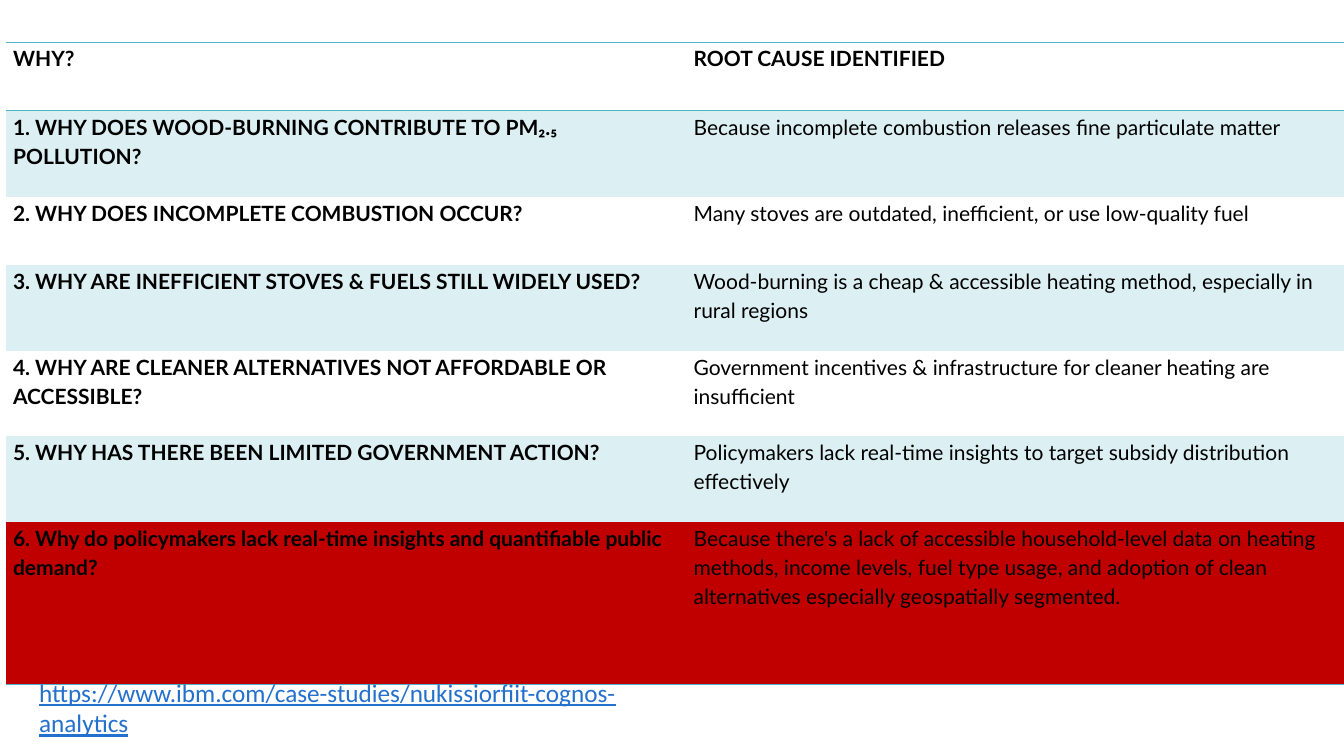
from dataclasses import dataclass

from lxml import etree
from pptx import Presentation
from pptx.dml.color import RGBColor
from pptx.oxml.ns import qn
from pptx.util import Inches, Pt


@dataclass(frozen=True)
class Theme:
    ink: str = "000000"
    rule: str = "50B4C8"
    band: str = "DCF0F4"
    alert: str = "C00000"
    link: str = "2370CD"
    body_font: str = "Lato"
    link_font: str = "Calibri"
    body_size: float = 15
    link_size: float = 18
    rule_width: float = 1


@dataclass(frozen=True)
class Row:
    why: str
    cause: str
    height: float
    fill: str = ""
    head: bool = False


THEME = Theme()
BLANK = 6
COLUMNS = (6.75, 6.52)
ROWS = (
    Row("WHY?", "ROOT CAUSE IDENTIFIED", 0.68, head=True),
    Row("1. WHY DOES WOOD-BURNING CONTRIBUTE TO PM₂.₅ POLLUTION?",
        "Because incomplete combustion releases fine particulate matter",
        0.85, THEME.band),
    Row("2. WHY DOES INCOMPLETE COMBUSTION OCCUR?",
        "Many stoves are outdated, inefficient, or use low-quality fuel", 0.68),
    Row("3. WHY ARE INEFFICIENT STOVES & FUELS STILL WIDELY USED?",
        "Wood-burning is a cheap & accessible heating method, "
        "especially in rural regions", 0.85, THEME.band),
    Row("4. WHY ARE CLEANER ALTERNATIVES NOT AFFORDABLE OR ACCESSIBLE?",
        "Government incentives & infrastructure for cleaner heating "
        "are insufficient", 0.85),
    Row("5. WHY HAS THERE BEEN LIMITED GOVERNMENT ACTION?",
        "Policymakers lack real-time insights to target subsidy "
        "distribution effectively", 0.85, THEME.band),
    Row("6. Why do policymakers lack real-time insights and quantifiable "
        "public demand?",
        "Because there's a lack of accessible household-level data on heating "
        "methods, income levels, fuel type usage, and adoption of clean "
        "alternatives especially geospatially segmented.", 1.61, THEME.alert),
)
SOURCE = "https://www.ibm.com/case-studies/nukissiorfiit-cognos-analytics"


def set_font(font, name: str, size: float, color: str) -> None:
    font.name = name
    font.size = Pt(size)
    font.color.rgb = RGBColor.from_string(color)


def set_edges(cell, ruled: str) -> None:
    """Rule the sides named in ruled (of L, R, T, B) and clear the rest."""
    props = cell._tc.get_or_add_tcPr()
    for side in "LRTB":
        line = etree.SubElement(props, qn(f"a:ln{side}"))
        if side in ruled:
            line.set("w", str(Pt(THEME.rule_width)))
            paint = etree.SubElement(line, qn("a:solidFill"))
            etree.SubElement(paint, qn("a:srgbClr"), val=THEME.rule)
        else:
            etree.SubElement(line, qn("a:noFill"))


def fill_cell(cell, text: str, bold: bool, fill: str, ruled: str) -> None:
    cell.margin_left = cell.margin_right = Inches(0.07)
    cell.margin_top = cell.margin_bottom = 0
    set_edges(cell, ruled)
    if fill:
        cell.fill.solid()
        cell.fill.fore_color.rgb = RGBColor.from_string(fill)
    else:
        cell.fill.background()
    para = cell.text_frame.paragraphs[0]
    para.text = text
    para.line_spacing = 1.15
    para.space_after = Pt(8)
    font = para.runs[0].font
    set_font(font, THEME.body_font, THEME.body_size, THEME.ink)
    font.bold = bold


def add_causes(slide) -> None:
    frame = slide.shapes.add_table(
        len(ROWS), len(COLUMNS), Inches(0.06), Inches(0.42),
        Inches(sum(COLUMNS)), Inches(sum(row.height for row in ROWS)))
    table = frame.table
    table.horz_banding = False
    for column, width in zip(table.columns, COLUMNS):
        column.width = Inches(width)
    for index, row in enumerate(ROWS):
        table.rows[index].height = Inches(row.height)
        top = "T" if index < 2 else ""
        base = "B" if index in (0, len(ROWS) - 1) else ""
        for col, text in enumerate((row.why, row.cause)):
            bold = row.head or col == 0
            fill_cell(table.cell(index, col), text, bold, row.fill, top + base)


def add_source(slide) -> None:
    box = slide.shapes.add_textbox(
        Inches(0.29), Inches(6.67), Inches(6.7), Inches(0.4))
    frame = box.text_frame
    frame.word_wrap = True
    frame.text = SOURCE
    font = frame.paragraphs[0].runs[0].font
    set_font(font, THEME.link_font, THEME.link_size, THEME.link)
    font.underline = True


def main() -> None:
    deck = Presentation()
    deck.slide_width, deck.slide_height = Inches(13.33), Inches(7.5)
    slide = deck.slides.add_slide(deck.slide_layouts[BLANK])
    add_causes(slide)
    add_source(slide)
    deck.save("out.pptx")


if __name__ == "__main__":
    main()
